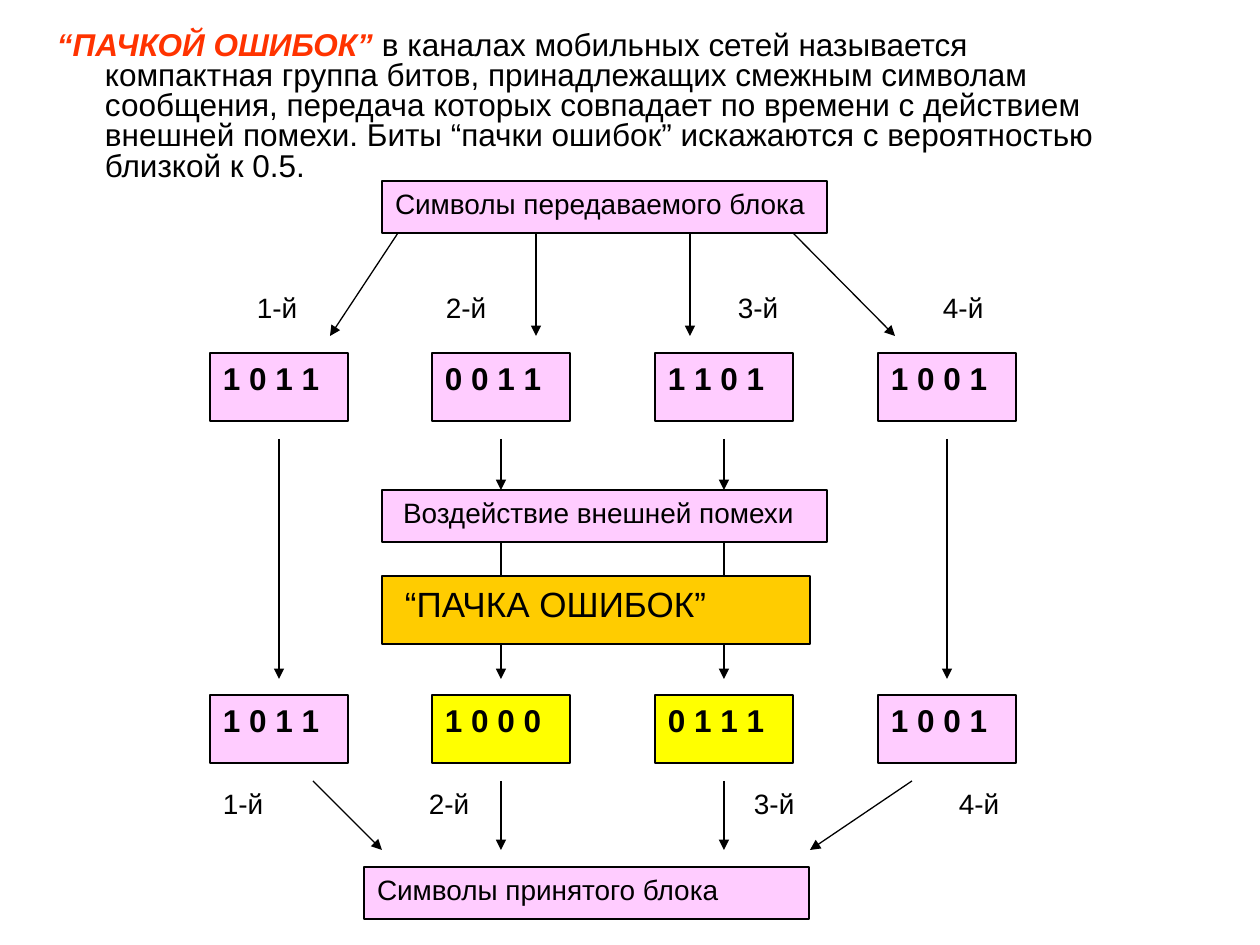
from typing import NamedTuple

from lxml.etree import SubElement
from pptx import Presentation
from pptx.dml.color import RGBColor
from pptx.enum.shapes import MSO_CONNECTOR, MSO_SHAPE
from pptx.enum.text import MSO_ANCHOR, PP_ALIGN
from pptx.oxml.ns import qn
from pptx.util import Pt

EMU_PER_PX = 914400 / 126
FONT = "Arial"
BLACK = RGBColor(0x00, 0x00, 0x00)
WHITE = RGBColor(0xFF, 0xFF, 0xFF)
PINK = RGBColor(0xFF, 0xCC, 0xFF)
YELLOW = RGBColor(0xFF, 0xFF, 0x00)
AMBER = RGBColor(0xFF, 0xCC, 0x00)
RED = RGBColor(0xFF, 0x33, 0x00)

INSET_X, INSET_Y = 13, 6
BLOCK_WIDTH, BLOCK_HEIGHT = 138, 68
SENT_TOP, RECEIVED_TOP = 353, 695
SENT_LABEL_TOP, RECEIVED_LABEL_TOP = 285, 781
COLUMNS = [210 + 668 * index // 3 for index in range(4)]
CENTERS = [left + BLOCK_WIDTH // 2 for left in COLUMNS]


class Box(NamedTuple):
    text: str
    left: int
    top: int
    width: int = 445
    height: int = 52
    fill: RGBColor = PINK
    size: int = 16
    bold: bool = False
    outlined: bool = True
    inset: int = INSET_X


class Line(NamedTuple):
    x1: int
    y1: int
    x2: int
    y2: int
    arrow: bool = True


def px(length: int) -> int:
    return round(length * EMU_PER_PX)


def set_frame(frame, left: int, right: int) -> None:
    frame.word_wrap = True
    frame.vertical_anchor = MSO_ANCHOR.TOP
    frame.margin_left, frame.margin_right = px(left), px(right)
    frame.margin_top = frame.margin_bottom = px(INSET_Y)


def draw_box(page, box: Box) -> None:
    shape = page.shapes.add_shape(
        MSO_SHAPE.RECTANGLE, px(box.left), px(box.top), px(box.width), px(box.height))
    shape.shadow.inherit = False
    shape.fill.solid()
    shape.fill.fore_color.rgb = box.fill
    if box.outlined:
        shape.line.color.rgb = BLACK
        shape.line.width = Pt(0.75)
    else:
        shape.line.fill.background()
    set_frame(shape.text_frame, box.inset, INSET_X)
    para = shape.text_frame.paragraphs[0]
    para.text = box.text
    para.alignment = PP_ALIGN.LEFT
    para.font.name = FONT
    para.font.size = Pt(box.size)
    para.font.bold = box.bold
    para.font.color.rgb = BLACK


def draw_line(page, line: Line) -> None:
    connector = page.shapes.add_connector(
        MSO_CONNECTOR.STRAIGHT, px(line.x1), px(line.y1), px(line.x2), px(line.y2))
    connector.line.color.rgb = BLACK
    connector.line.width = Pt(0.75)
    if line.arrow:
        SubElement(connector.line._get_or_add_ln(), qn("a:tailEnd"), type="triangle")
    SubElement(connector._element.spPr, qn("a:effectLst"))


def draw_definition(page) -> None:
    text_box = page.shapes.add_textbox(px(44), px(26), px(1111), px(179))
    set_frame(text_box.text_frame, INSET_X, 30)
    para = text_box.text_frame.paragraphs[0]
    para.line_spacing = 0.8
    properties = para._p.get_or_add_pPr()
    properties.set("marL", str(px(48)))
    properties.set("indent", str(-px(48)))
    para.font.name = FONT
    para.font.size = Pt(18)
    term = para.add_run()
    term.text = "“ПАЧКОЙ ОШИБОК”"
    term.font.bold = term.font.italic = True
    term.font.color.rgb = RED
    meaning = para.add_run()
    meaning.text = (
        " в каналах мобильных сетей называется компактная группа битов, "
        "принадлежащих смежным символам сообщения, передача которых совпадает "
        "по времени с действием внешней помехи. Биты “пачки ошибок” искажаются "
        "с вероятностью близкой к 0.5.")
    meaning.font.color.rgb = BLACK


def block_row(top: int, codes: list[str], fills: list[RGBColor]) -> list[Box]:
    return [Box(code, left, top, BLOCK_WIDTH, BLOCK_HEIGHT, fill, 18, True)
            for code, left, fill in zip(codes, COLUMNS, fills)]


def label_row(top: int, lefts: list[int]) -> list[Box]:
    return [Box(f"{number}-й", left, top, 86, fill=WHITE, outlined=False)
            for number, left in enumerate(lefts, 1)]


def main() -> None:
    deck = Presentation()
    deck.slide_width, deck.slide_height = px(1260), px(945)
    page = deck.slides.add_slide(deck.slide_layouts[6])

    draw_definition(page)

    # Captions, symbol blocks and their numbers
    boxes = [
        Box("Символы передаваемого блока", 382, 181),
        Box("Воздействие внешней помехи", 382, 490, inset=21),
        Box("“ПАЧКА ОШИБОК”", 382, 576, 428, 68, AMBER, 20, inset=23),
        Box("Символы принятого блока", 364, 867),
        *block_row(SENT_TOP, ["1 0 1 1", "0 0 1 1", "1 1 0 1", "1 0 0 1"], [PINK] * 4),
        *block_row(RECEIVED_TOP, ["1 0 1 1", "1 0 0 0", "0 1 1 1", "1 0 0 1"],
                   [PINK, YELLOW, YELLOW, PINK]),
        *label_row(SENT_LABEL_TOP, [244, 433, 725, 930]),
        *label_row(RECEIVED_LABEL_TOP, [210, 416, 741, 946]),
    ]
    for box in boxes:
        draw_box(page, box)

    # Splitting into symbols and joining them again
    lines = [Line(start, 233, end, 336)
             for start, end in [(398, 330), (536, 536), (690, 690), (793, 895)]]
    lines += [Line(start, 781, end, 850)
              for start, end in zip([313, *CENTERS[1:3], 912], [382, *CENTERS[1:3], 810])]
    # Outer symbols pass untouched, inner ones go through the interference
    for center in (CENTERS[0], CENTERS[3]):
        lines.append(Line(center, 439, center, 679))
    for center in CENTERS[1:3]:
        lines += [Line(center, 439, center, 490),
                  Line(center, 542, center, 576, arrow=False),
                  Line(center, 644, center, 679)]
    for line in lines:
        draw_line(page, line)

    deck.save("out.pptx")


if __name__ == "__main__":
    main()
